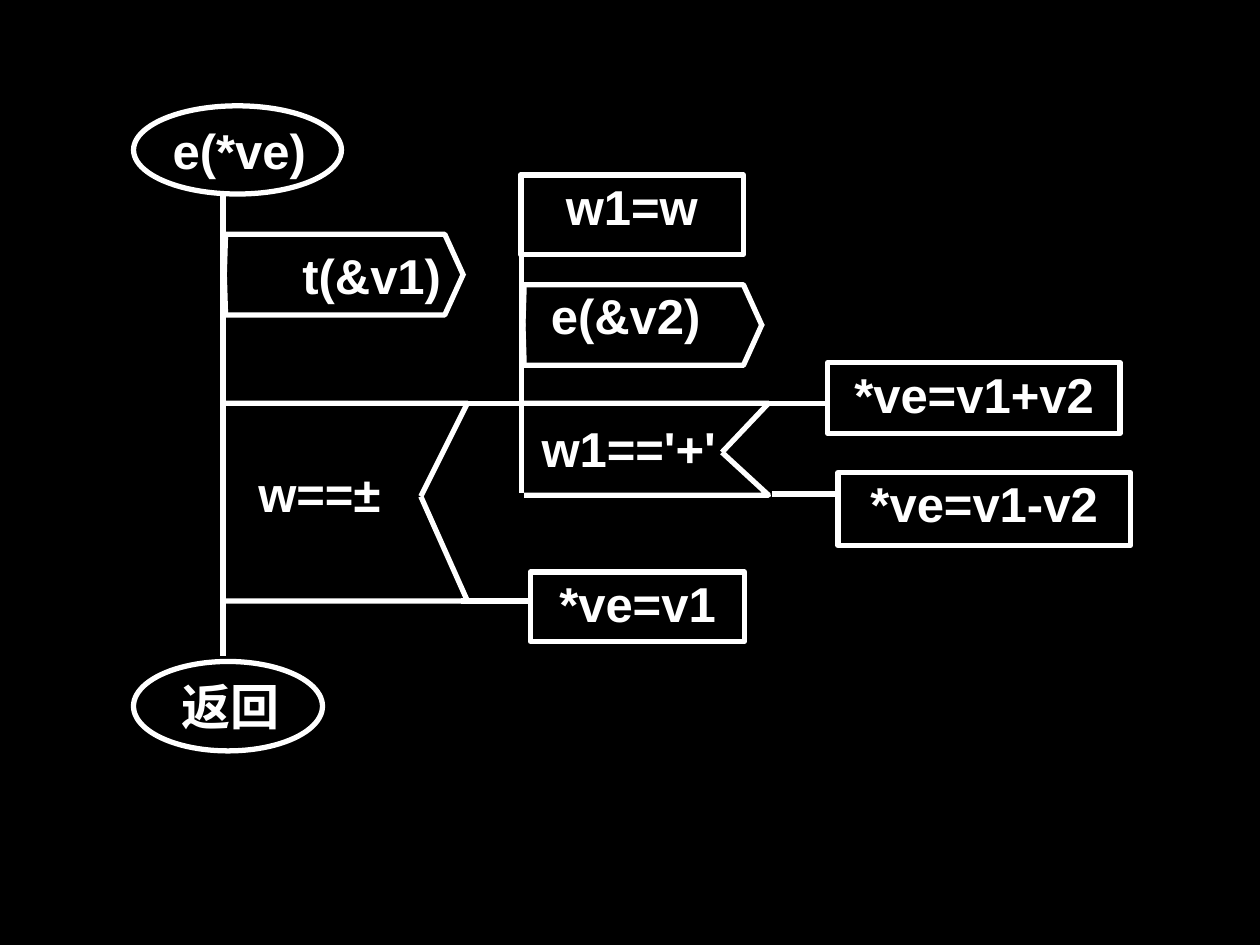
from lxml.etree import SubElement
from pptx import Presentation
from pptx.dml.color import RGBColor
from pptx.enum.shapes import MSO_CONNECTOR as Conn, MSO_SHAPE as Kind
from pptx.enum.text import MSO_ANCHOR as Anchor, PP_ALIGN as Align
from pptx.oxml.ns import qn
from pptx.util import Inches, Pt

COLORS = {"back": "000000", "ink": "FFFFFF"}


def color(name):
    return RGBColor.from_string(COLORS[name])


def outline(shape):
    shape.line.color.rgb = color("ink")
    shape.line.width = Pt(3)


def write(shape, text, align=Align.CENTER):
    frame = shape.text_frame
    frame.word_wrap = True
    frame.vertical_anchor = Anchor.TOP
    frame.margin_left = frame.margin_right = Inches(0.01)
    frame.margin_top = frame.margin_bottom = Inches(0.01)
    para = frame.paragraphs[0]
    para.text = text
    para.alignment = align
    font = para.font
    font.name, font.size, font.bold = "Arial", Pt(28), True
    font.color.rgb = color("ink")


def label(slide, text, x, y, w, h, align=Align.CENTER):
    box = slide.shapes.add_textbox(Inches(x), Inches(y), Inches(w), Inches(h))
    write(box, text, align)


def shape(slide, kind, x, y, w, h):
    item = slide.shapes.add_shape(
        kind, Inches(x), Inches(y), Inches(w), Inches(h))
    item.shadow.inherit = False
    item.fill.background()
    outline(item)
    return item


def line(slide, x1, y1, x2, y2):
    item = slide.shapes.add_connector(
        Conn.STRAIGHT, Inches(x1), Inches(y1), Inches(x2), Inches(y2))
    outline(item)
    SubElement(item._element.spPr, qn("a:effectLst"))


def path(slide, points):
    first, *rest = [(Inches(x), Inches(y)) for x, y in points]
    form = slide.shapes.build_freeform(*first)
    form.add_line_segments(rest, close=False)
    item = form.convert_to_shape()
    item.shadow.inherit = False
    item.fill.background()
    outline(item)


def call(slide, x, mid):
    """Pentagon for a call, drawn as two mirrored halves."""
    half = [(0.02, 0.31), (0, -0.32), (1.76, -0.32), (1.91, 0.01)]
    for sign in (1, -1):
        path(slide, [(x + dx, mid + sign * dy) for dx, dy in half])


def fork(slide, x, top, mid, low):
    """Two-way branch with a notch on its right side."""
    for y in (top, low):
        path(slide, [(x, y), (x + 1.94, y), (x + 1.57, mid)])


def main():
    deck = Presentation()
    deck.slide_width, deck.slide_height = Inches(10), Inches(7.5)
    slide = deck.slides.add_slide(deck.slide_layouts[6])
    fill = slide.background.fill
    fill.solid()
    fill.fore_color.rgb = color("back")

    # Start and end
    shape(slide, Kind.OVAL, 1.06, 0.84, 1.65, 0.7)
    label(slide, "e(*ve)", 1.36, 0.95, 1.31, 0.56, Align.LEFT)
    shape(slide, Kind.OVAL, 1.06, 5.25, 1.5, 0.71)
    label(slide, "返回", 1.43, 5.36, 1.08, 0.56, Align.LEFT)

    # Flow lines
    for ends in [
        (1.77, 1.54, 1.77, 5.21),
        (4.14, 1.39, 4.14, 3.91),
        (3.66, 3.2, 4.13, 3.2),
        (3.66, 4.77, 4.19, 4.77),
        (6.1, 3.2, 6.59, 3.2),
        (6.13, 3.92, 6.65, 3.92),
    ]:
        line(slide, *ends)

    # Calls
    call(slide, 1.77, 2.18)
    label(slide, "t(&v1)", 1.98, 1.94, 1.94, 0.71)
    call(slide, 4.14, 2.58)
    label(slide, "e(&v2)", 4.14, 2.26, 1.65, 0.6)

    # Branches
    fork(slide, 1.77, 3.2, 3.94, 4.77)
    label(slide, "w==±", 1.77, 3.67, 1.53, 0.67)
    fork(slide, 4.16, 3.2, 3.59, 3.93)
    label(slide, "w1=='+'", 4.14, 3.31, 1.7, 0.67)

    # Assignments
    for text, *place in [
        ("w1=w", 4.13, 1.39, 1.77, 0.63),
        ("*ve=v1", 4.21, 4.54, 1.7, 0.55),
        ("*ve=v1+v2", 6.57, 2.88, 2.32, 0.56),
        ("*ve=v1-v2", 6.65, 3.75, 2.32, 0.58),
    ]:
        write(shape(slide, Kind.RECTANGLE, *place), text)

    deck.save("out.pptx")


if __name__ == "__main__":
    main()
